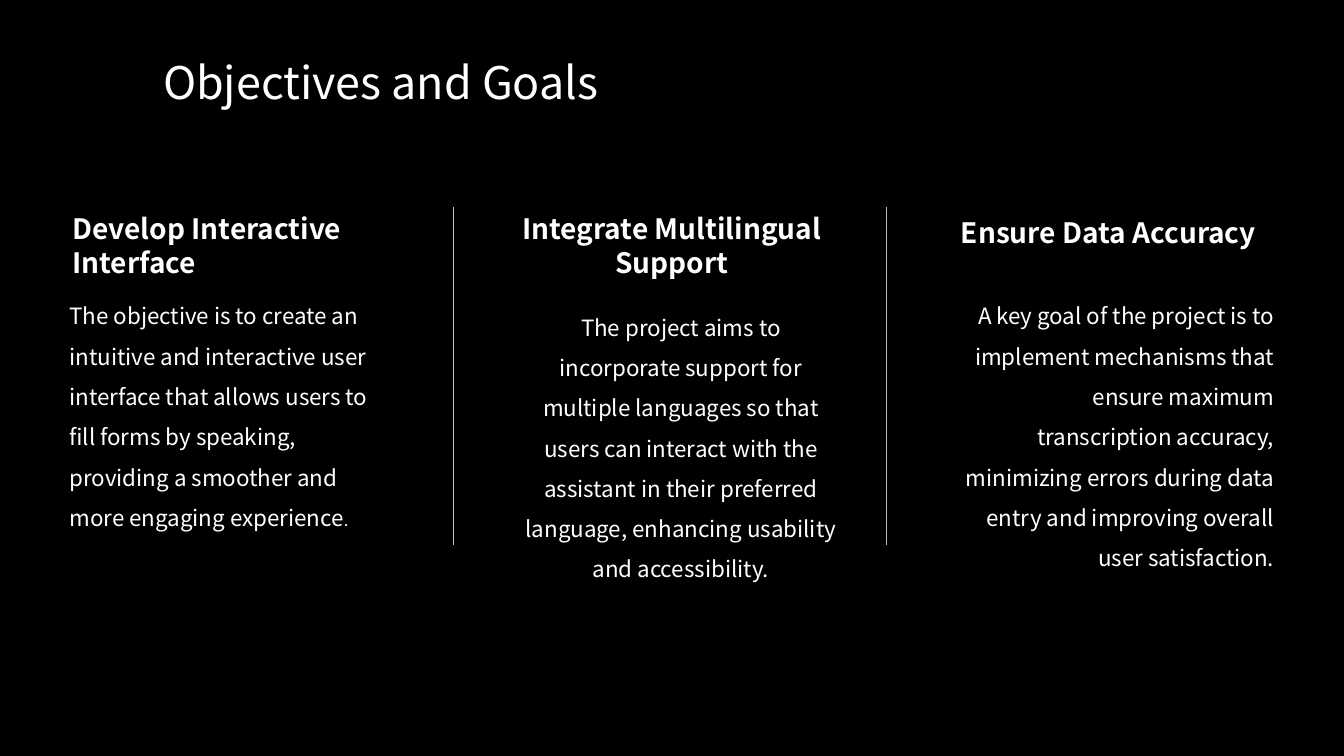
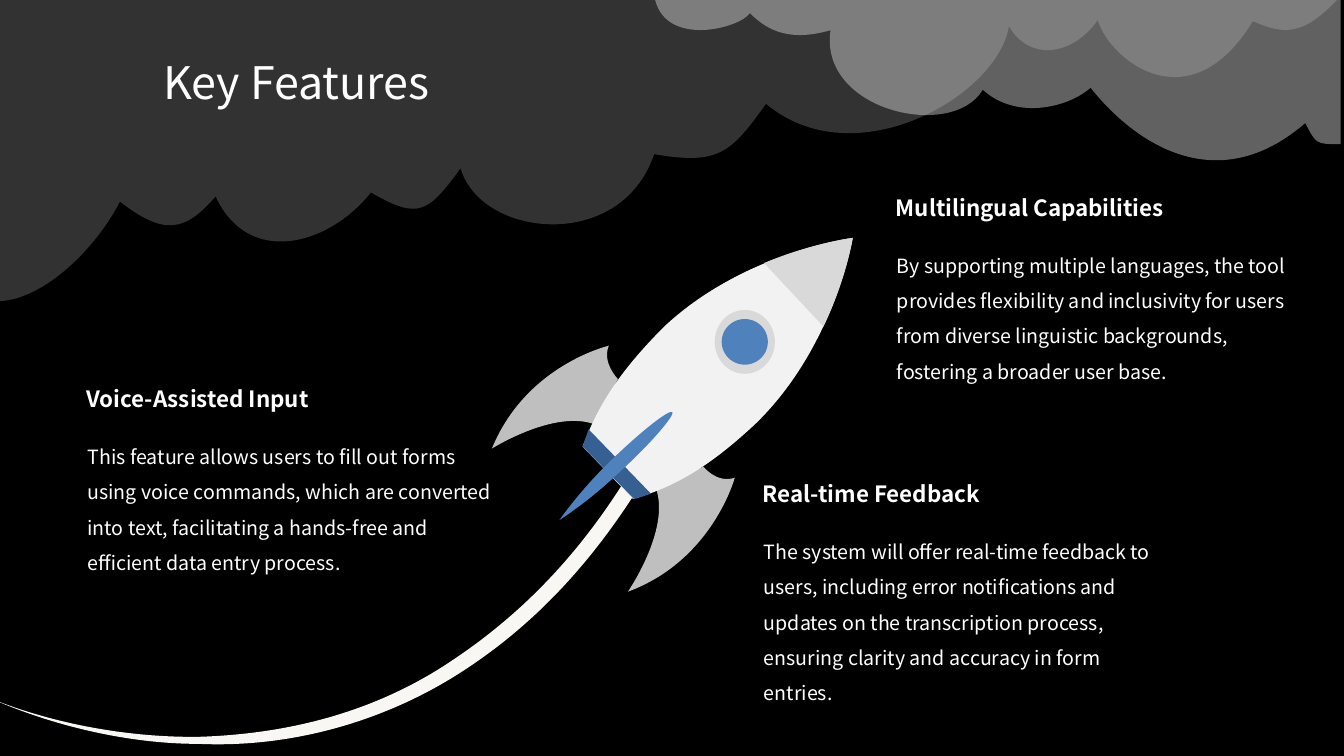
from dataclasses import dataclass

from lxml.etree import Element, SubElement
from pptx import Presentation
from pptx.dml.color import RGBColor
from pptx.enum.shapes import MSO_CONNECTOR, MSO_SHAPE
from pptx.enum.text import MSO_ANCHOR, MSO_AUTO_SIZE, PP_ALIGN
from pptx.oxml.ns import qn
from pptx.util import Pt


@dataclass(frozen=True)
class Theme:
    font: str = "Noto Sans CJK SC"
    background: str = "000000"
    text: str = "FFFFFF"
    divider: str = "BFBFBF"
    cloud: str = "D9D9D9"
    trail: str = "F8F7F3"
    fin: str = "BFBFBF"
    hull: str = "F2F2F2"
    trim: str = "D9D9D9"
    band: str = "376092"
    accent: str = "4F81BD"
    title_size: float = 32
    goal_heading_size: float = 20
    goal_body_size: float = 16
    feature_heading_size: float = 16
    feature_body_size: float = 14
    full_stop_size: float = 12
    body_spacing: float = 1.5


THEME = Theme()
TITLE_BOX = (109.4, 35.3, 560.9, 46.1)

# Heading and body boxes are left, top, width, height in points.
GOALS = [
    {
        "align": PP_ALIGN.LEFT,
        "heading": "Develop Interactive Interface",
        "heading_box": (44.6, 147.6, 236.9, 55.4),
        "body": [
            ("The objective is to create an intuitive and interactive user interface "
             "that allows users to fill forms by speaking, providing a smoother and "
             "more engaging experience", THEME.goal_body_size),
            (".", THEME.full_stop_size),
        ],
        "body_box": (42.5, 203, 236.9, 178.6),
    },
    {
        "align": PP_ALIGN.CENTER,
        "heading": "Integrate Multilingual Support",
        "heading_box": (361.4, 147.6, 236.9, 55.4),
        "body": [
            ("The project aims to incorporate support for multiple languages so that "
             "users can interact with the assistant in their preferred language, "
             "enhancing usability and accessibility.", THEME.goal_body_size),
        ],
        "body_box": (367.9, 211, 236.9, 178.6),
    },
    {
        "align": PP_ALIGN.RIGHT,
        "heading": "Ensure Data Accuracy",
        "heading_box": (667.4, 149.8, 236.9, 31.7),
        "body": [
            ("A key goal of the project is to implement mechanisms that ensure maximum "
             "transcription accuracy, minimizing errors during data entry and improving "
             "overall user satisfaction.", THEME.goal_body_size),
        ],
        "body_box": (680.4, 203, 236.9, 178.6),
    },
]
DIVIDER_LEFTS = (324, 632.9)
DIVIDER_TOP, DIVIDER_BOTTOM = 147.6, 389.5

# Left and top of each feature, heading, body.
FEATURES = [
    (54.7, 271.4, "Voice-Assisted Input",
     "This feature allows users to fill out forms using voice commands, which are "
     "converted into text, facilitating a hands-free and efficient data entry process."),
    (632.9, 134.6, "Multilingual Capabilities",
     "By supporting multiple languages, the tool provides flexibility and inclusivity "
     "for users from diverse linguistic backgrounds, fostering a broader user base."),
    (537.8, 339.1, "Real-time Feedback",
     "The system will offer real-time feedback to users, including error notifications "
     "and updates on the transcription process, ensuring clarity and accuracy in form "
     "entries."),
]
FEATURE_WIDTH, FEATURE_HEADING_HEIGHT, FEATURE_BODY_HEIGHT = 306, 26.6, 157
FEATURE_BODY_SHIFT = (0.7, 34.6)

# Outlines are a start point, then lines (2 numbers) or cubic curves (6 numbers).
OUTLINE_UNIT = Pt(0.72)
CLOUDS = [
    (THEME.cloud, 23, [
        (-4, 299), (45, 299, 98, 242, 119, 200), (164, 235, 184, 229, 214, 195),
        (247, 266, 327, 243, 368, 191), (415, 218, 424, 212, 457, 167),
        (477, 236, 616, 251, 649, 153), (713, 164, 725, 152, 760, 103),
        (848, 177, 990, 95, 1001, 26), (1021, 61, 1064, 56, 1089, 20),
        (1102, 61, 1181, 123, 1243, 21), (1274, 35, 1294, 36, 1330, -4), (-4, -4)]),
    (THEME.cloud, 45, [
        (1330, 143), (1305, 143, 1306, 143, 1295, 122),
        (1206, 199, 1124, 140, 1082, 87), (1061, 106, 1009, 120, 975, 89),
        (945, 140, 812, 110, 824, 30), (785, 41, 763, 32, 744, 13),
        (734, 28, 662, 47, 650, 0), (1330, 0)]),
]
ROCKET = [
    (THEME.trail, 100, [
        (-9, 693), (50, 717, 125, 732, 198, 731), (290, 728, 375, 705, 449, 655),
        (530, 601, 593, 530, 646, 432), (655, 448), (600, 545, 536, 618, 451, 671),
        (375, 718, 285, 742, 197, 738), (125, 738, 50, 719, -9, 693)]),
    (THEME.fin, 100, [
        (613, 376), (613, 376, 597, 360, 604, 343), (604, 343, 522, 362, 488, 445),
        (488, 445, 550, 406, 590, 421)]),
    (THEME.fin, 100, [
        (698, 463), (698, 463, 711, 480, 729, 474), (729, 474, 707, 556, 623, 587),
        (623, 587, 665, 526, 651, 485)]),
    (THEME.hull, 100, [
        (628, 495), (666, 484, 701, 466, 750, 420), (828, 344, 846, 236, 846, 236),
        (846, 236, 738, 250, 659, 324), (611, 372, 592, 406, 578, 443)]),
    (THEME.band, 100, [
        (584, 426), (582, 432, 580, 437, 578, 443), (629, 495),
        (635, 494, 640, 491, 646, 490)]),
    (THEME.trim, 100, [
        (817, 324), (840, 276, 846, 236, 846, 236), (846, 236, 806, 241, 758, 261)]),
]
CENTRE_FIN = (THEME.accent, 100, [
    (605, 458), (575, 487, 555, 516, 555, 516), (555, 516, 585, 497, 615, 468),
    (647, 439, 670, 411, 667, 409), (664, 406, 637, 427, 605, 458)])
WINDOW_CENTRE = (532, 244.2)
WINDOW_RINGS = [(THEME.trim, 43, 45.6), (THEME.accent, 33, 32.6)]


def set_attributes(target, values):
    for name, value in values.items():
        setattr(target, name, value)


def add_text(slide, box, runs, align=PP_ALIGN.LEFT, bold=False,
             anchor=MSO_ANCHOR.TOP, spacing=None):
    """Add one paragraph made of (text, size) runs."""
    frame = slide.shapes.add_textbox(*map(Pt, box)).text_frame
    set_attributes(frame, {"word_wrap": True, "vertical_anchor": anchor,
                           "auto_size": MSO_AUTO_SIZE.SHAPE_TO_FIT_TEXT})
    paragraph = frame.paragraphs[0]
    set_attributes(paragraph, {"alignment": align, "line_spacing": spacing})
    for text, size in runs:
        run = paragraph.add_run()
        run.text = text
        set_attributes(run.font, {"name": THEME.font, "size": Pt(size), "bold": bold})
        run.font.color.rgb = RGBColor.from_string(THEME.text)


def add_heading_and_body(slide, heading_box, heading, heading_size, body_box, body,
                         align=PP_ALIGN.LEFT):
    add_text(slide, heading_box, [(heading, heading_size)], align, bold=True,
             anchor=MSO_ANCHOR.BOTTOM)
    add_text(slide, body_box, body, align, spacing=THEME.body_spacing)


def paint(shape, colour, opacity=100):
    shape.shadow.inherit = False
    shape.line.fill.background()
    shape.fill.solid()
    shape.fill.fore_color.rgb = RGBColor.from_string(colour)
    if opacity < 100:
        colour_element = shape.fill._xPr.find(".//" + qn("a:srgbClr"))
        SubElement(colour_element, qn("a:alpha"), val=str(opacity * 1000))


def add_outline(slide, colour, opacity, outline):
    """Build a freeform through all points, then turn point triples into curves."""
    start, *segments = outline
    points = [pair for segment in segments for pair in zip(segment[::2], segment[1::2])]
    builder = slide.shapes.build_freeform(*start, scale=OUTLINE_UNIT)
    shape = builder.add_line_segments(points, close=True).convert_to_shape()
    lines = iter(list(shape._element.iter(qn("a:lnTo"))))
    for segment in segments:
        nodes = [next(lines) for _ in range(len(segment) // 2)]
        if len(nodes) == 3:
            curve = Element(qn("a:cubicBezTo"))
            nodes[0].addprevious(curve)
            for node in nodes:
                curve.append(node[0])
                node.getparent().remove(node)
    paint(shape, colour, opacity)


def add_divider(slide, left):
    line = slide.shapes.add_connector(MSO_CONNECTOR.STRAIGHT, Pt(left), Pt(DIVIDER_TOP),
                                      Pt(left), Pt(DIVIDER_BOTTOM))
    line.line.width = Pt(0.25)
    line.line.color.rgb = RGBColor.from_string(THEME.divider)
    SubElement(line._element.spPr, qn("a:effectLst"))


def add_window(slide):
    centre_x, centre_y = WINDOW_CENTRE
    for colour, width, height in WINDOW_RINGS:
        box = (centre_x - width / 2, centre_y - height / 2, width, height)
        paint(slide.shapes.add_shape(MSO_SHAPE.OVAL, *map(Pt, box)), colour)


def add_slide(presentation):
    slide = presentation.slides.add_slide(presentation.slide_layouts[6])
    slide.background.fill.solid()
    slide.background.fill.fore_color.rgb = RGBColor.from_string(THEME.background)
    return slide


def add_title(slide, title):
    add_text(slide, TITLE_BOX, [(title, THEME.title_size)])


def build_goals(presentation):
    slide = add_slide(presentation)
    for left in DIVIDER_LEFTS:
        add_divider(slide, left)
    for goal in GOALS:
        add_heading_and_body(slide, goal["heading_box"], goal["heading"],
                             THEME.goal_heading_size, goal["body_box"], goal["body"],
                             goal["align"])
    add_title(slide, "Objectives and Goals")


def build_features(presentation):
    slide = add_slide(presentation)
    for outline in CLOUDS + ROCKET:
        add_outline(slide, *outline)
    add_window(slide)
    add_outline(slide, *CENTRE_FIN)
    add_title(slide, "Key Features")
    shift_x, shift_y = FEATURE_BODY_SHIFT
    for left, top, heading, body in FEATURES:
        add_heading_and_body(
            slide, (left, top, FEATURE_WIDTH, FEATURE_HEADING_HEIGHT), heading,
            THEME.feature_heading_size,
            (left + shift_x, top + shift_y, FEATURE_WIDTH, FEATURE_BODY_HEIGHT),
            [(body, THEME.feature_body_size)])


def main():
    presentation = Presentation()
    set_attributes(presentation, {"slide_width": Pt(960), "slide_height": Pt(540)})
    build_goals(presentation)
    build_features(presentation)
    presentation.save("out.pptx")


if __name__ == "__main__":
    main()
